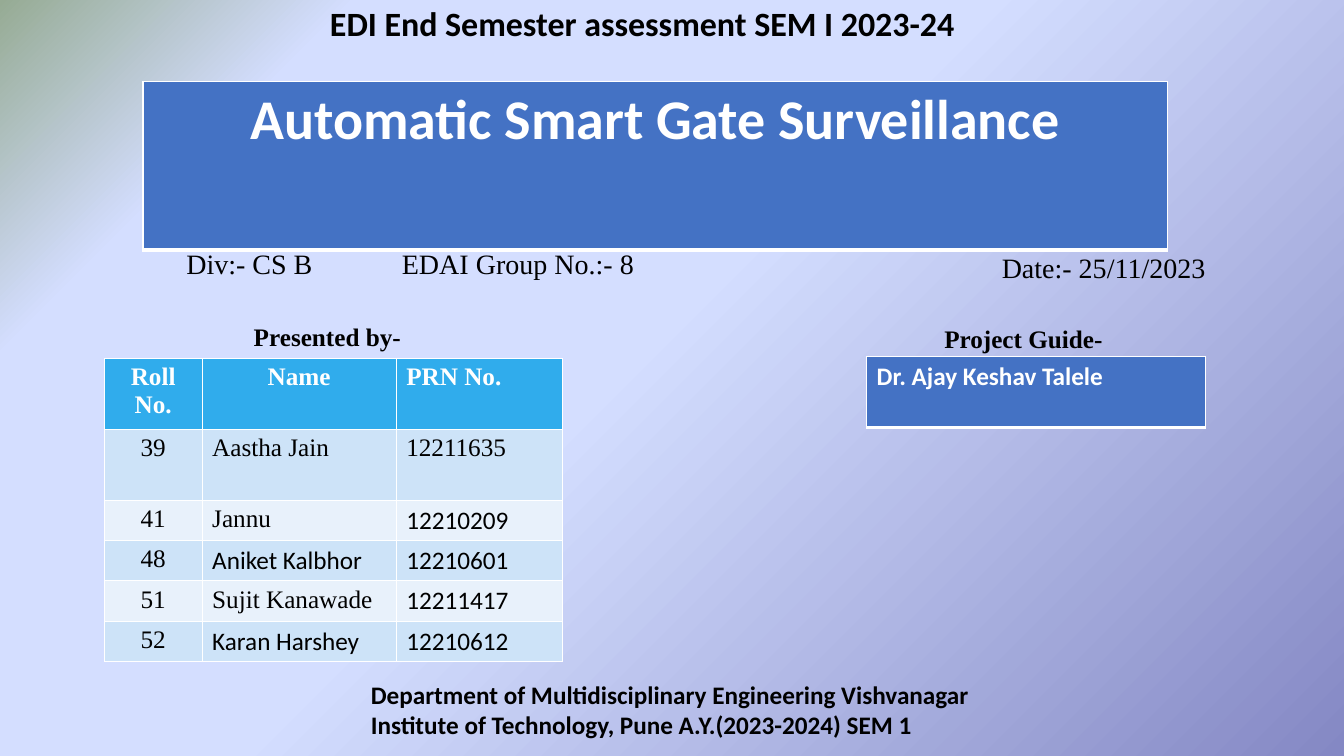
from pptx import Presentation
from pptx.dml.color import RGBColor
from pptx.enum.text import MSO_ANCHOR, MSO_AUTO_SIZE, PP_ALIGN
from pptx.oxml import parse_xml
from pptx.util import Pt

LEFT, CENTER = PP_ALIGN.LEFT, PP_ALIGN.CENTER
TOP = MSO_ANCHOR.TOP
GROW = MSO_AUTO_SIZE.SHAPE_TO_FIT_TEXT
NS = 'xmlns:a="http://schemas.openxmlformats.org/drawingml/2006/main"'
SERIF, SANS = "Times New Roman", "Calibri"
COLORS = {"black": "000000", "white": "FFFFFF", "banner": "4472C4",
          "header": "30ACEC", "band1": "CDE3F8", "band2": "E8F1FB"}


def add_run(p, text, size, font, color="black", bold=False, align=LEFT):
    p.alignment = align
    r = p.add_run()
    r.text = text
    r.font.size = Pt(size)
    r.font.name = font
    r.font.bold = bold
    r.font.color.rgb = RGBColor.from_string(COLORS[color])


def style_cell(cell, color, width, bottom):
    tcPr = cell._tc.get_or_add_tcPr()
    for side, w in (("L", width), ("R", width), ("T", width), ("B", bottom)):
        tcPr.append(parse_xml(
            f'<a:ln{side} {NS} w="{Pt(w)}"><a:solidFill><a:srgbClr val="{COLORS["white"]}"/>'
            f'</a:solidFill></a:ln{side}>'))
    cell.fill.solid()
    cell.fill.fore_color.rgb = RGBColor.from_string(COLORS[color])


prs = Presentation()
prs.slide_width, prs.slide_height = Pt(960), Pt(540)
s = prs.slides.add_slide(prs.slide_layouts[5])

# Background gradient, spreading from the bottom right corner
s.background.fill.gradient()
grad = s.element.find(".//{*}bgPr/{*}gradFill")
stops = "".join(f'<a:gs pos="{pos * 1000}"><a:srgbClr val="{c}"/></a:gs>' for pos, c in (
    (0, "8488C4"), (53, "D4DEFF"), (83, "D4DEFF"), (100, "96AB94")))
grad.getparent().replace(grad, parse_xml(
    f'<a:gradFill {NS} rotWithShape="1"><a:gsLst>{stops}</a:gsLst><a:path path="circle">'
    '<a:fillToRect l="100000" t="100000"/></a:path>'
    '<a:tileRect r="-100000" b="-100000"/></a:gradFill>'))

# Title
title = s.shapes.title
title.left, title.top, title.width, title.height = Pt(228.5), Pt(1.3), Pt(500), Pt(36)
tf = title.text_frame
tf.word_wrap = True
tf.auto_size = MSO_AUTO_SIZE.NONE
tf.vertical_anchor = TOP
tf.paragraphs[0].line_spacing = 0.9
add_run(tf.paragraphs[0], "EDI End Semester assessment SEM I 2023-24", 24.3, SANS, bold=True)

# Banners: project name and guide
for text, x, y, w, h, size, align in (
        ("Automatic Smart Gate Surveillance", 102.2, 58.3, 731.5, 120.5, 40, CENTER),
        ("Dr. Ajay Keshav Talele", 619, 254.9, 242, 50.4, 18, LEFT)):
    table = s.shapes.add_table(1, 1, Pt(x), Pt(y), Pt(w), Pt(h)).table
    cell = table.cell(0, 0)
    style_cell(cell, "banner", 1, 3)
    add_run(cell.text_frame.paragraphs[0], text, size, SANS, "white", True, align)

# Labels and department line
for text, x, y, w, h, size, font, bold in (
        ("Div:- CS B", 126, 172.8, 113, 31.5, 20, SERIF, False),
        ("EDAI Group No.:- 8", 280, 172.8, 186, 31.5, 20, SERIF, False),
        ("Date:- 25/11/2023", 708.5, 175.4, 186, 31.5, 20, SERIF, False),
        ("Presented by-", 174.2, 226.1, 126.7, 29, 18, SERIF, True),
        ("Project Guide-", 667.4, 227.5, 144.7, 29, 18, SERIF, True),
        ("Department of Multidisciplinary Engineering Vishvanagar "
         "Institute of Technology, Pune A.Y.(2023-2024) SEM 1",
         257.8, 481.7, 501.8, 51, 18, SANS, True)):
    tf = s.shapes.add_textbox(Pt(x), Pt(y), Pt(w), Pt(h)).text_frame
    tf.word_wrap = True
    tf.auto_size = GROW
    add_run(tf.paragraphs[0], text, size, font, bold=bold)

# Team table: each row carries the fonts of its name and number
members = (
    ("Roll No.", "Name", "PRN No.", SERIF, SERIF),
    ("39", "Aastha Jain", "12211635", SERIF, SERIF),
    ("41", "Jannu", "12210209", SERIF, SANS),
    ("48", "Aniket Kalbhor", "12210601", SANS, SANS),
    ("51", "Sujit Kanawade", "12211417", SERIF, SANS),
    ("52", "Karan Harshey", "12210612", SANS, SANS),
)
table = s.shapes.add_table(6, 3, Pt(74.4), Pt(256), Pt(327), Pt(216.4)).table
for col, w in zip(table.columns, (70, 138.6, 118.4)):
    col.width = Pt(w)
for i, (roll, name, prn, name_font, prn_font) in enumerate(members):
    table.rows[i].height = Pt(50.6 if i < 2 else 28.8)
    head = i == 0
    fill = "header" if head else ("band1" if i in (1, 3, 5) else "band2")
    fonts = (SERIF, name_font, prn_font)
    for j, (text, font) in enumerate(zip((roll, name, prn), fonts)):
        cell = table.cell(i, j)
        style_cell(cell, fill, 0.62, 0.62)
        align = CENTER if j == 0 or (head and j == 1) else LEFT
        add_run(cell.text_frame.paragraphs[0], text, 18, font,
                "white" if head else "black", head, align)

prs.save("out.pptx")
